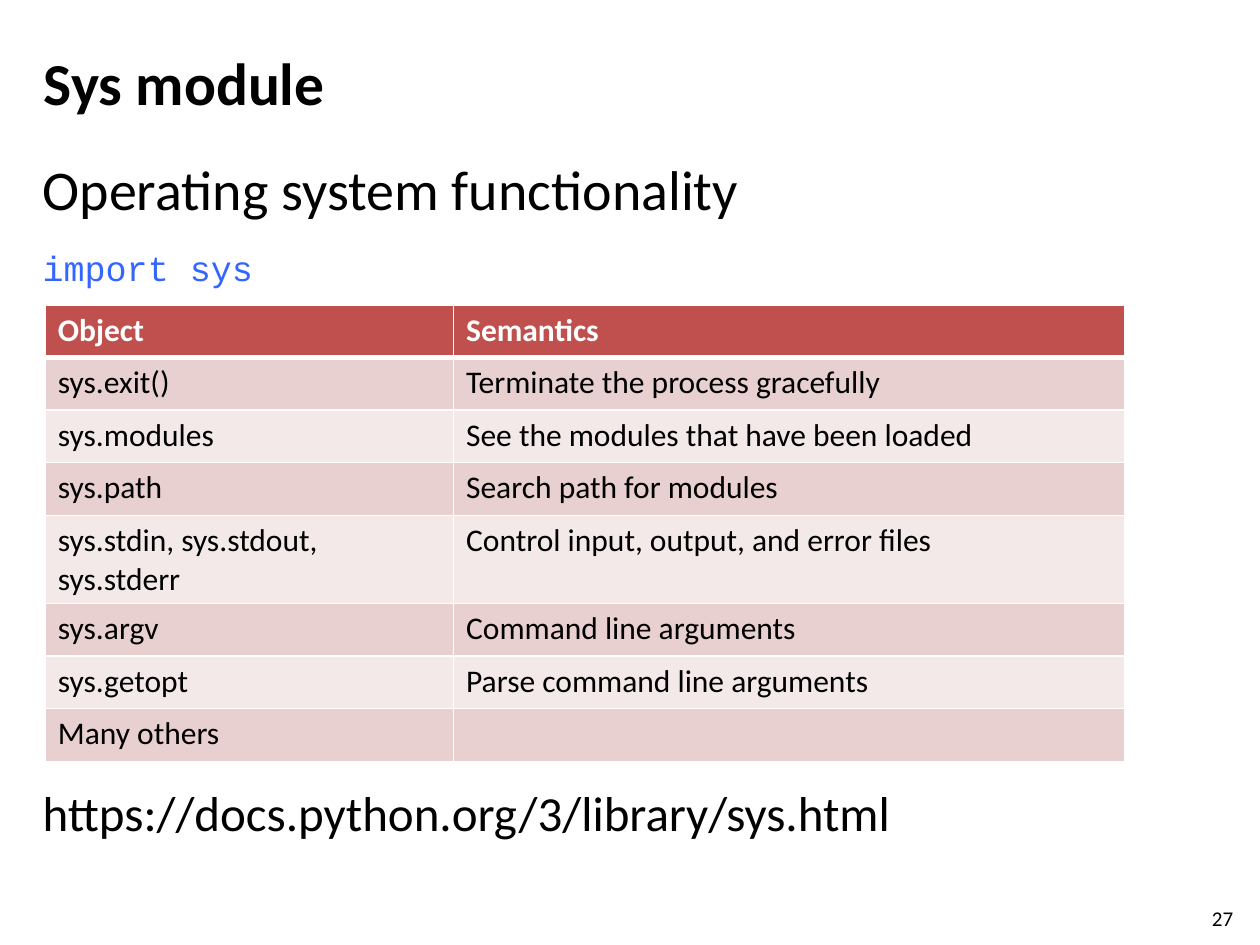
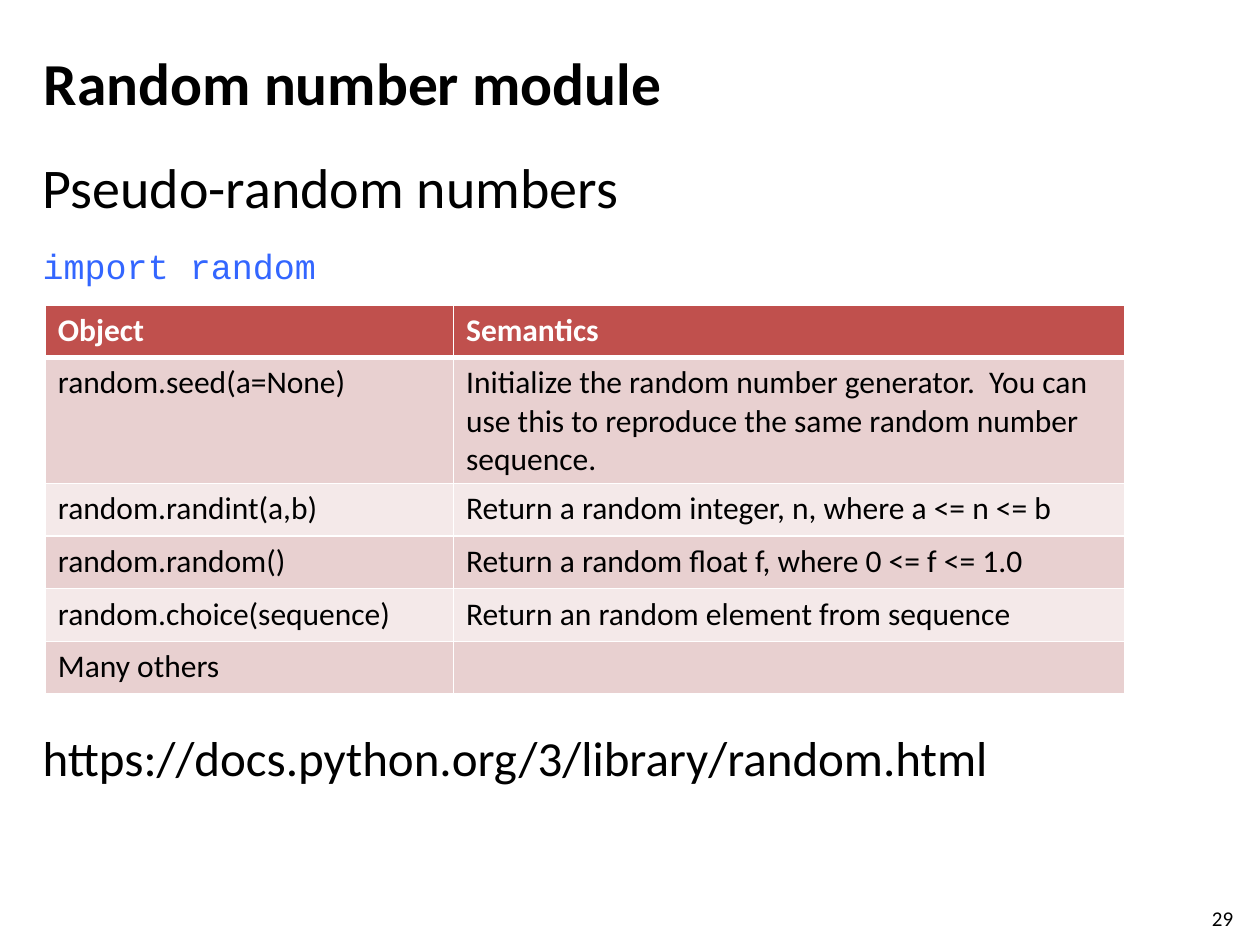
import dataclasses

import pptx
import pptx.dml.color
import pptx.enum.text
import pptx.oxml
import pptx.oxml.ns
import pptx.util


@dataclasses.dataclass(frozen=True)
class Theme:
    text_font: str = "Calibri"
    code_font: str = "Courier New"
    ink: str = "000000"
    code: str = "3366FF"
    paper: str = "FFFFFF"
    header: str = "C0504D"
    bands: tuple = ("E8D0D0", "F4E9E9")
    title_size: int = 34
    lead_size: int = 32
    address_size: int = 28
    code_size: int = 20
    table_size: int = 18
    number_size: int = 12
    thin_border: int = 1
    thick_border: int = 3


# The page is a grid of 40 columns by 30 rows.
GRID_COLUMNS, GRID_ROWS = 40, 30
TITLE_AREA = (1, 1.2, 34.68, 2.8)
NUMBER_AREA = (38.08, 28.56, 1.6, 0.96)
BODY_LEFT, BODY_WIDTH = 0.96, 37
TABLE_LEFT, TABLE_TOP = 1.44, 9.68
TABLE_COLUMNS = (12.96, 21.32)
TABLE_ROW = 1.67
TABLE_HEADINGS = ("Object", "Semantics")


class PageBuilder:
    """Holds the theme, the deck and the page being built."""

    def __init__(self, theme):
        self.theme = theme
        self.deck = pptx.Presentation()
        self.deck.slide_width = pptx.util.Inches(10)
        self.deck.slide_height = pptx.util.Inches(7.5)
        self.page = None

    def new_page(self):
        self.page = self.deck.slides.add_slide(self.deck.slide_layouts[6])

    def across(self, columns):
        return round(self.deck.slide_width * columns / GRID_COLUMNS)

    def down(self, rows):
        return round(self.deck.slide_height * rows / GRID_ROWS)

    def add_words(self, para, words, size, color=None, font=None, bold=False):
        span = para.add_run()
        span.text = words
        formats = {"name": font or self.theme.text_font,
                   "size": pptx.util.Pt(size), "bold": bold}
        for name, value in formats.items():
            setattr(span.font, name, value)
        span.font.color.rgb = pptx.dml.color.RGBColor.from_string(
            color or self.theme.ink)

    def text_frame(self, area, anchor="TOP"):
        left, top, width, height = area
        box = self.page.shapes.add_textbox(
            self.across(left), self.down(top),
            self.across(width), self.down(height))
        formats = {"word_wrap": True,
                   "vertical_anchor": pptx.enum.text.MSO_ANCHOR[anchor]}
        for name, value in formats.items():
            setattr(box.text_frame, name, value)
        return box.text_frame

    def title(self, words):
        frame = self.text_frame(TITLE_AREA, "MIDDLE")
        self.add_words(frame.paragraphs[0], words, self.theme.title_size,
                       bold=True)

    def page_number(self, number):
        frame = self.text_frame(NUMBER_AREA)
        self.add_words(frame.paragraphs[0], str(number), self.theme.number_size)

    def body(self, top, height, lead, code, address, table_gap):
        """Sets the lines above and below the table; table_gap is in points."""
        theme = self.theme
        frame = self.text_frame((BODY_LEFT, top, BODY_WIDTH, height))
        lead_para = frame.paragraphs[0]
        lead_para.space_after = pptx.util.Pt(14)
        self.add_words(lead_para, lead, theme.lead_size)
        self.add_words(frame.add_paragraph(), code, theme.code_size,
                       theme.code, theme.code_font)
        address_para = frame.add_paragraph()
        address_para.space_before = pptx.util.Pt(table_gap)
        self.add_words(address_para, address, theme.address_size)

    def borders(self, cell, top, bottom):
        thin = self.theme.thin_border
        widths = {"L": thin, "R": thin, "T": top, "B": bottom}
        for side, width in widths.items():
            cell._tc.get_or_add_tcPr().append(pptx.oxml.parse_xml(
                f'<a:ln{side} {pptx.oxml.ns.nsdecls("a")} '
                f'w="{pptx.util.Pt(width)}"><a:solidFill>'
                f'<a:srgbClr val="{self.theme.paper}"/>'
                f'</a:solidFill></a:ln{side}>'))

    def table(self, entries):
        theme = self.theme
        rows = [TABLE_HEADINGS, *entries]
        table = self.page.shapes.add_table(
            len(rows), len(TABLE_COLUMNS),
            self.across(TABLE_LEFT), self.down(TABLE_TOP),
            self.across(sum(TABLE_COLUMNS)),
            self.down(TABLE_ROW * len(rows))).table
        table.horz_banding = False
        for column, width in zip(table.columns, TABLE_COLUMNS):
            column.width = self.across(width)
        for index, row in enumerate(rows):
            is_header = index == 0
            fill = theme.header if is_header else theme.bands[(index - 1) % 2]
            top = theme.thick_border if index == 1 else theme.thin_border
            bottom = theme.thick_border if is_header else theme.thin_border
            for cell, words in zip(table.rows[index].cells, row):
                self.borders(cell, top, bottom)
                cell.fill.solid()
                cell.fill.fore_color.rgb = (
                    pptx.dml.color.RGBColor.from_string(fill))
                if words:
                    self.add_words(cell.text_frame.paragraphs[0], words,
                                   theme.table_size,
                                   theme.paper if is_header else theme.ink,
                                   bold=is_header)


MODULE_PAGES = [
    {
        "title": "Sys module",
        "number": 27,
        "body": {
            "top": 4.72, "height": 19.72, "table_gap": 282,
            "lead": "Operating system functionality",
            "code": "import sys",
            "address": "https://docs.python.org/3/library/sys.html",
        },
        "entries": [
            ("sys.exit()", "Terminate the process gracefully"),
            ("sys.modules", "See the modules that have been loaded"),
            ("sys.path", "Search path for modules"),
            ("sys.stdin, sys.stdout, sys.stderr",
             "Control input, output, and error files"),
            ("sys.argv", "Command line arguments"),
            ("sys.getopt", "Parse command line arguments"),
            ("Many others", ""),
        ],
    },
    {
        "title": "Random number module",
        "number": 29,
        "body": {
            "top": 4.64, "height": 21.04, "table_gap": 252,
            "lead": "Pseudo-random numbers",
            "code": "import random",
            "address": "https://docs.python.org/3/library/random.html",
        },
        "entries": [
            ("random.seed(a=None)",
             "Initialize the random number generator.  You can use this to "
             "reproduce the same random number sequence."),
            ("random.randint(a,b)",
             "Return a random integer, n, where a <= n <= b"),
            ("random.random()", "Return a random float f, where 0 <= f <= 1.0"),
            ("random.choice(sequence)",
             "Return an random element from sequence"),
            ("Many others", ""),
        ],
    },
]


def main():
    builder = PageBuilder(Theme())
    for content in MODULE_PAGES:
        builder.new_page()
        builder.body(**content["body"])
        builder.title(content["title"])
        builder.page_number(content["number"])
        builder.table(content["entries"])
    builder.deck.save("out.pptx")


if __name__ == "__main__":
    main()
